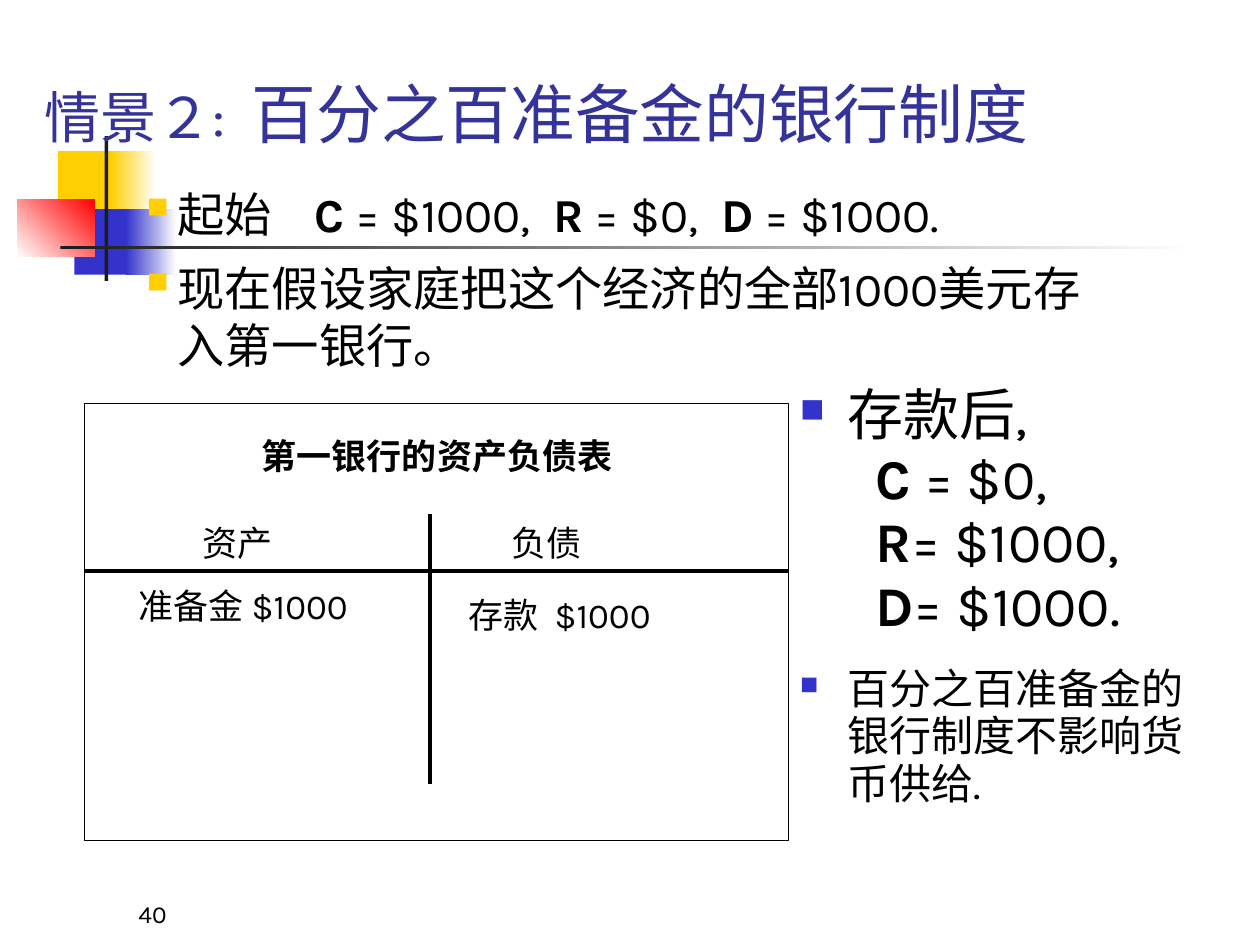
import pptx
import pptx.util
import pptx.dml.color
import pptx.enum.shapes
import pptx.enum.text
import pptx.oxml
import pptx.oxml.ns

COLORS = dict(yellow="FFCF01", blue="3333CC", red="FF0000", white="FFFFFF",
              ink="1C1C1C", black="000000", title="333399")
FONT = "Karla"
Pt = pptx.util.Pt
Inches = pptx.util.Inches
ALIGN = pptx.enum.text.PP_ALIGN
ANCHOR = pptx.enum.text.MSO_ANCHOR
RECT = pptx.enum.shapes.MSO_SHAPE.RECTANGLE


def rgb(name):
    return pptx.dml.color.RGBColor.from_string(COLORS[name])


def share(box, x, y, w=0, h=0):
    left, top, width, height = box
    return (int(left + width * x / 100), int(top + height * y / 100),
            int(width * w / 100), int(height * h / 100))


def apply(obj, values):
    for name, value in values.items():
        setattr(obj, name, value)


def add_child(parent, tag, **attrs):
    child = pptx.oxml.ns.qn(tag)
    el = parent.makeelement(child, attrs)
    parent.append(el)
    return el


def add_runs(p, runs, color="black"):
    for text, size, bold in runs:
        r = p.add_run()
        r.text = text
        apply(r.font, dict(name=FONT, size=Pt(size), bold=bold))
        r.font.color.rgb = rgb(color)


def set_frame(tf, anchor, inset_x=0.1, inset_y=0.05):
    apply(tf, dict(word_wrap=True, auto_size=pptx.enum.text.MSO_AUTO_SIZE.NONE,
                   vertical_anchor=anchor,
                   margin_left=Inches(inset_x), margin_right=Inches(inset_x),
                   margin_top=Inches(inset_y), margin_bottom=Inches(inset_y)))


def set_indent(p, left, hanging=0, bullet=None):
    pPr = p._p.get_or_add_pPr()
    pPr.set("marL", str(Inches(left)))
    pPr.set("indent", str(-Inches(hanging)))
    if bullet:
        char, color, percent = bullet
        clr = add_child(pPr, "a:buClr")
        add_child(clr, "a:srgbClr", val=COLORS[color])
        add_child(pPr, "a:buSzPct", val=str(percent * 1000))
        add_child(pPr, "a:buChar", char=char)


def add_text(s, box, paragraphs, anchor=ANCHOR.TOP, inset_x=0.1, inset_y=0.05):
    tf = s.shapes.add_textbox(*box).text_frame
    set_frame(tf, anchor, inset_x, inset_y)
    for i, (runs, values, indent) in enumerate(paragraphs):
        p = tf.add_paragraph() if i else tf.paragraphs[0]
        apply(p, values)
        if indent:
            set_indent(p, *indent)
        add_runs(p, runs)


def add_block(s, box, start, end=None, angle=0):
    sp = s.shapes.add_shape(RECT, *box)
    sp.shadow.inherit = False
    sp.line.fill.background()
    if end is None:
        sp.fill.solid()
        sp.fill.fore_color.rgb = rgb(start)
        return
    sp.fill.gradient()
    sp.fill.gradient_angle = angle
    for stop, color, position in zip(sp.fill.gradient_stops, (start, end), (0, 1)):
        stop.color.rgb = rgb(color)
        stop.position = position


def add_line(s, start, end):
    line = s.shapes.add_connector(pptx.enum.shapes.MSO_CONNECTOR.STRAIGHT,
                                  *start[:2], *end[:2])
    line.line.color.rgb = rgb("black")
    line.line.width = Pt(2.25)
    add_child(line._element.spPr, "a:effectLst")


def emblem(s, box):
    blocks = [
        (25.4, 10.43, 38.1, 45.22, "yellow"),
        (58.73, 10.43, 28.57, 45.22, "yellow", "white"),
        (35.71, 50.43, 36.51, 45.22, "blue"),
        (68.25, 50.43, 31.75, 45.22, "blue", "white"),
        (0, 43.48, 48.41, 40, "white", "red", 45),
        (54.76, 0, 2.38, 100, "ink"),
        (26.98, 75.65, 714.29, 2.61, "ink", "white"),
    ]
    for x, y, w, h, *paint in blocks:
        add_block(s, share(box, x, y, w, h), *paint)


def heading(s, box):
    sp = s.shapes.title
    apply(sp, dict(zip(("left", "top", "width", "height"), box)))
    set_frame(sp.text_frame, ANCHOR.BOTTOM)
    p = sp.text_frame.paragraphs[0]
    p.alignment = ALIGN.LEFT
    add_runs(p, [("情景２:  ", 32, False), ("百分之百准备金的银行制度", 37, False)], "title")


def intro(s, box):
    indent = (0.31, 0.31, ("▪", "yellow", 110))
    start = [("起始    ", False), ("C", True), (" = $1000,  ", False), ("R", True),
             (" = $0,  ", False), ("D", True), (" = $1000.", False)]
    add_text(s, box, [
        ([(text, 27, bold) for text, bold in start],
         dict(space_before=Pt(13.5)), indent),
        ([("现在假设家庭把这个经济的全部1000美元存入第一银行。", 27, False)],
         dict(space_before=Pt(10.1)), indent),
    ])


def outcome(s, box):
    indent = (0.38, 0.38, ("■", "blue", 60))
    results = [("C", " = $0,"), ("R", "= $1000,"), ("D", "= $1000.")]
    add_text(s, box, [
        ([("存款后,", 32, False)],
         dict(line_spacing=0.95, space_before=Pt(20)), indent),
        *[([(name, 32, True), (value, 32, False)],
           dict(line_spacing=0.95, space_before=Pt(0)), (0.6,))
          for name, value in results],
        ([("百分之百准备金的银行制度不影响货币供给.", 24, False)],
         dict(line_spacing=0.95, space_before=Pt(15)), indent),
    ])


def ledger(s, box):
    add_line(s, share(box, 0, 38.33), share(box, 100, 38.33))
    add_line(s, share(box, 49.02, 25.36), share(box, 49.02, 87.03))
    labels = [
        ("第一银行的资产负债表", 14.13, 4.61, 71.91, 14.7, ALIGN.CENTER, True),
        ("资产", 6.62, 23.92, 30.23, 15.85, ALIGN.CENTER, False),
        ("负债", 50.45, 23.92, 30.23, 15.85, ALIGN.CENTER, False),
        ("准备金 $1000", 7.69, 38.33, 42.58, 15.85, ALIGN.LEFT, False),
        ("存款  $1000", 54.56, 40.35, 42.58, 15.85, ALIGN.LEFT, False),
    ]
    for text, x, y, w, h, align, bold in labels:
        values = dict(alignment=align, space_before=Pt(12.5))
        add_text(s, share(box, x, y, w, h), [([(text, 20, bold)], values, None)],
                 ANCHOR.MIDDLE, 0, 0)
    sp = s.shapes.add_shape(RECT, *box)
    sp.shadow.inherit = False
    sp.fill.background()
    sp.line.color.rgb = rgb("black")
    sp.line.width = Pt(0.75)


def page_number(s, box):
    add_text(s, box, [([("40", 14, False)], {}, None)], ANCHOR.BOTTOM)


def main():
    prs = pptx.Presentation()
    prs.slide_width, prs.slide_height = Inches(10), Inches(7.5)
    s = prs.slides.add_slide(prs.slide_layouts[5])
    page = (0, 0, prs.slide_width, prs.slide_height)
    regions = [
        (emblem, 1.4, 14.4, 12.6, 15.33),
        (page_number, 10, 92.27, 20.8, 6.67),
        (heading, 2.5, 4.4, 94.2, 12.27),
        (outcome, 62.5, 40, 34.2, 48.93),
        (intro, 10, 18.93, 80, 21.07),
        (ledger, 6.7, 42.67, 55.9, 46.27),
    ]
    for draw, *area in regions:
        draw(s, share(page, *area))
    title = s.shapes.title._element
    title.getparent().insert(9, title)
    prs.save("out.pptx")


if __name__ == "__main__":
    main()
